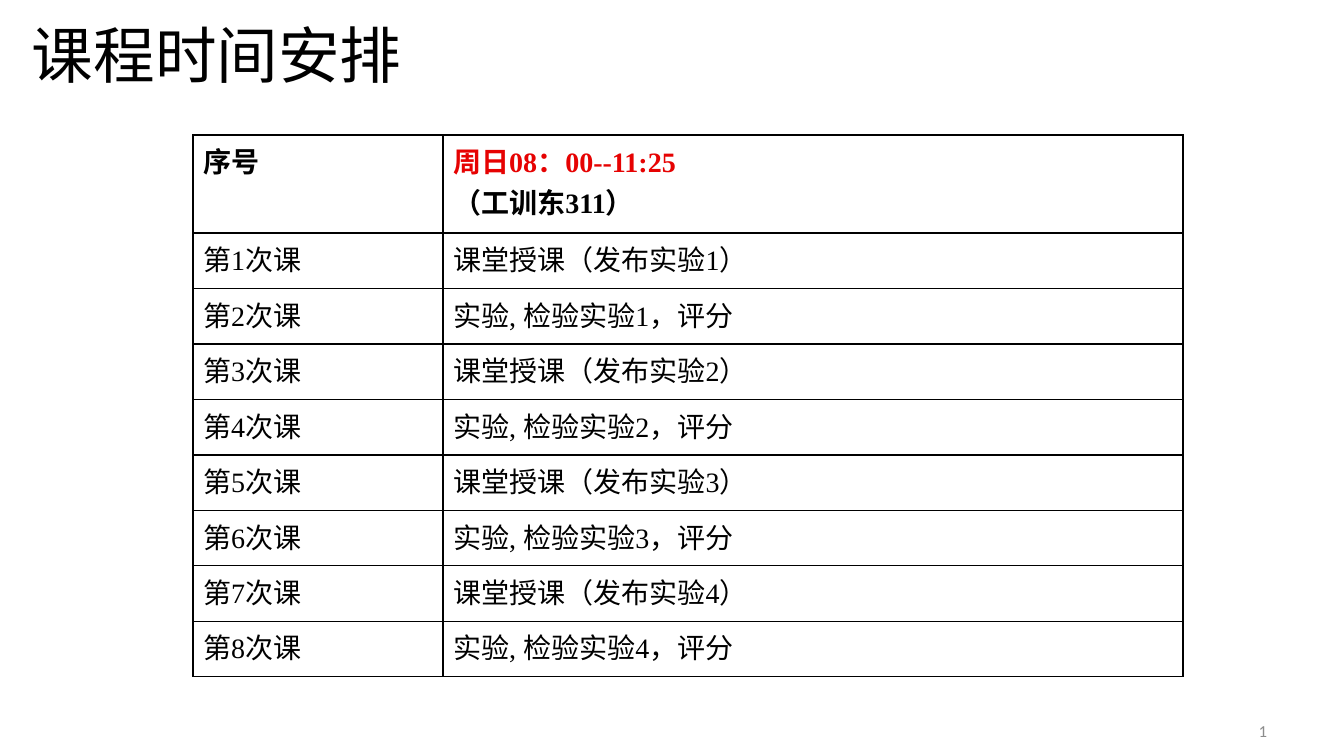
from lxml import etree
from pptx import Presentation
from pptx.dml.color import RGBColor
from pptx.enum.lang import MSO_LANGUAGE_ID
from pptx.enum.text import MSO_ANCHOR, PP_ALIGN
from pptx.oxml.ns import qn
from pptx.util import Inches, Pt

CHINESE = MSO_LANGUAGE_ID.SIMPLIFIED_CHINESE
MIDDLE = MSO_ANCHOR.MIDDLE
LEFT, RIGHT = PP_ALIGN.LEFT, PP_ALIGN.RIGHT

COLORS = {"black": "000000", "red": "E60202", "gray": "8C8C8C", "white": "FFFFFF"}
TITLE = "课程时间安排"
PAGE_NUMBER = "1"
HEADER = [
    [("序号", "black")],
    [("周日08：00--11:25", "red"), ("（工训东311）", "black")],
]
LESSONS = [
    "课堂授课（发布实验1）",
    "实验, 检验实验1，评分",
    "课堂授课（发布实验2）",
    "实验, 检验实验2，评分",
    "课堂授课（发布实验3）",
    "实验, 检验实验3，评分",
    "课堂授课（发布实验4）",
    "实验, 检验实验4，评分",
]
SCHEDULE = [HEADER] + [
    [[(f"第{number}次课", "black")], [(lesson, "black")]]
    for number, lesson in enumerate(LESSONS, 1)
]

PX = Inches(1) / 100.8
TITLE_BOX = (22, 8, 1288, 101)
PAGE_BOX = (964, 713, 313, 35)
TABLE_LEFT, TABLE_TOP = 193, 135
COLUMN_WIDTHS = (250, 740)
HEADER_HEIGHT, LESSONS_HEIGHT = 98, 444


def px(length):
    return round(length * PX)


def color(name):
    return RGBColor.from_string(COLORS[name])


def add_run(paragraph, text, face, size, ink, bold=False):
    run = paragraph.add_run()
    run.text = text
    font = run.font
    font.name, font.size, font.bold = face, Pt(size), bold
    font.color.rgb = color(ink)
    font.language_id = CHINESE


def add_label(slide, box, text, size, ink, align, spacing):
    frame = slide.shapes.add_textbox(*map(px, box)).text_frame
    frame.word_wrap = True
    frame.vertical_anchor = MIDDLE
    paragraph = frame.paragraphs[0]
    paragraph.alignment = align
    paragraph.line_spacing = spacing
    add_run(paragraph, text, "Calibri", size, ink)


def add_borders(cell):
    properties = cell._tc.get_or_add_tcPr()
    for position, side in enumerate(("lnL", "lnR", "lnT", "lnB")):
        line = etree.Element(qn(f"a:{side}"), w=str(Pt(1)))
        fill = etree.SubElement(line, qn("a:solidFill"))
        etree.SubElement(fill, qn("a:srgbClr"), val=COLORS["black"])
        properties.insert(position, line)


def fill_cell(cell, lines, bold):
    cell.fill.solid()
    cell.fill.fore_color.rgb = color("white")
    add_borders(cell)
    frame = cell.text_frame
    for index, (text, ink) in enumerate(lines):
        paragraph = frame.add_paragraph() if index else frame.paragraphs[0]
        add_run(paragraph, text, "Times New Roman", 20, ink, bold)


def add_schedule(slide):
    schedule = slide.shapes.add_table(
        len(SCHEDULE), len(COLUMN_WIDTHS), px(TABLE_LEFT), px(TABLE_TOP),
        px(sum(COLUMN_WIDTHS)), px(HEADER_HEIGHT + LESSONS_HEIGHT),
    ).table
    schedule.horz_banding = False
    for column, width in zip(schedule.columns, COLUMN_WIDTHS):
        column.width = px(width)
    for r, entries in enumerate(SCHEDULE):
        height = LESSONS_HEIGHT / len(LESSONS) if r else HEADER_HEIGHT
        schedule.rows[r].height = px(height)
        for c, lines in enumerate(entries):
            fill_cell(schedule.cell(r, c), lines, bold=r == 0)


def main():
    deck = Presentation()
    deck.slide_width, deck.slide_height = px(1344), px(756)
    slide = deck.slides.add_slide(deck.slide_layouts[6])
    add_label(slide, PAGE_BOX, PAGE_NUMBER, 12, "gray", RIGHT, 1.0)
    add_label(slide, TITLE_BOX, TITLE, 44, "black", LEFT, 0.9)
    add_schedule(slide)
    deck.save("out.pptx")


if __name__ == "__main__":
    main()
